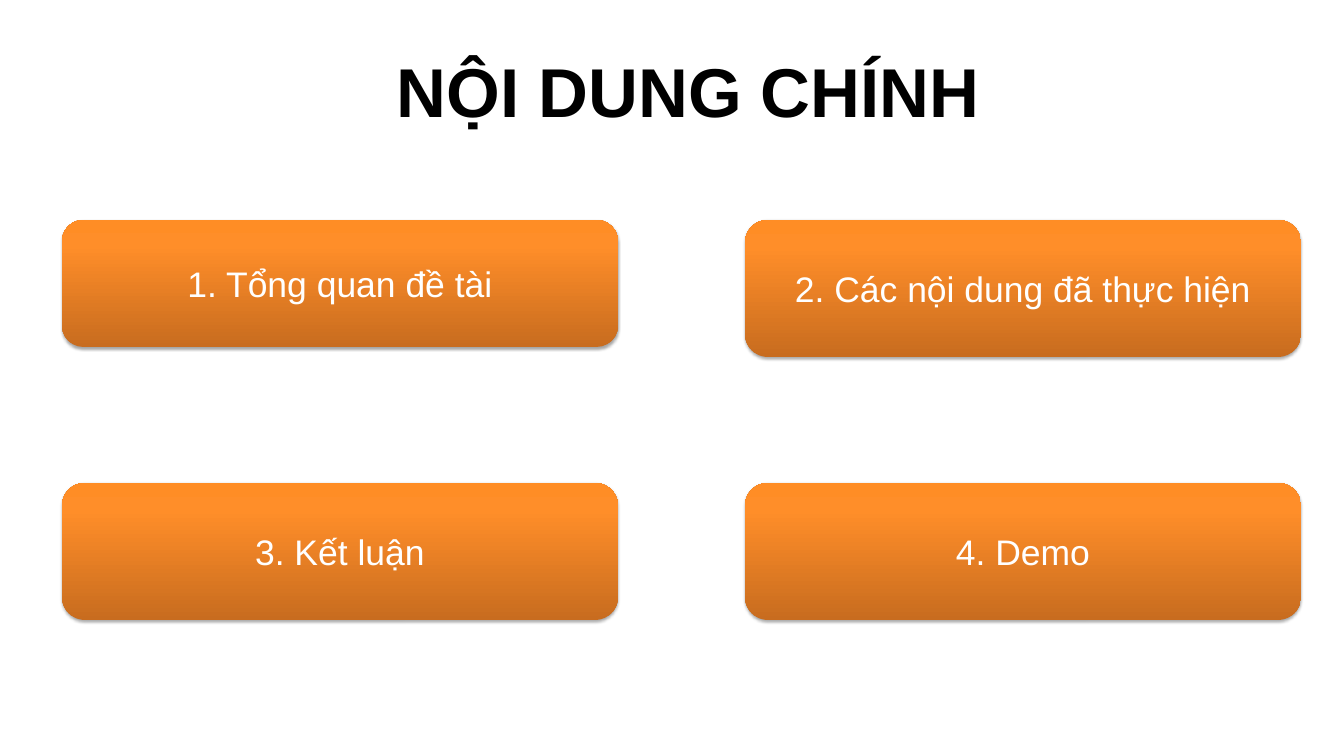
import pptx
import pptx.dml.color
import pptx.enum.shapes
import pptx.enum.text
import pptx.oxml
import pptx.oxml.ns
import pptx.util
from lxml import etree

EMU_PER_PX = 914400 / 67.2
FONT = "Arial"
GRADIENT = [(0, "C86C1F"), (80, "FF8E29"), (100, "FF8D25")]
CARD_COLUMNS = [62, 745]
CARD_ROWS = [220, 483]
CARD_WIDTH = 556
CARDS = [
    ("1. Tổng quan đề tài", 127),
    ("2. Các nội dung đã thực hiện", 137),
    ("3. Kết luận", 137),
    ("4. Demo", 137),
]


def px(*lengths):
    return [pptx.util.Emu(round(length * EMU_PER_PX)) for length in lengths]


def rgb(value):
    return pptx.dml.color.RGBColor.from_string(value)


def write_centred(frame, text, size, colour, bold=False):
    frame.word_wrap = True
    para = frame.paragraphs[0]
    para.text = text
    para.alignment = pptx.enum.text.PP_ALIGN.CENTER
    para.font.name = FONT
    para.font.size = pptx.util.Pt(size)
    para.font.bold = bold
    para.font.color.rgb = rgb(colour)


def fill_upward(shape, stops):
    """Fill with a gradient that runs from bottom to top."""
    shape.fill.gradient()
    gradient = shape._element.spPr.find(pptx.oxml.ns.qn("a:gradFill"))
    for child in list(gradient):
        gradient.remove(child)
    stop_list = etree.SubElement(gradient, pptx.oxml.ns.qn("a:gsLst"))
    for position, colour in stops:
        stop = etree.SubElement(stop_list, pptx.oxml.ns.qn("a:gs"), pos=str(position * 1000))
        etree.SubElement(stop, pptx.oxml.ns.qn("a:srgbClr"), val=colour)
    etree.SubElement(gradient, pptx.oxml.ns.qn("a:lin"), ang="16200000", scaled="0")


def cast_shadow(shape):
    shape.shadow.inherit = False
    effects = shape._element.spPr.find(pptx.oxml.ns.qn("a:effectLst"))
    shadow = etree.SubElement(
        effects, pptx.oxml.ns.qn("a:outerShdw"),
        blurRad=str(pptx.util.Pt(3.1)), dist=str(pptx.util.Pt(1.8)),
        dir="5400000", rotWithShape="0")
    colour = etree.SubElement(shadow, pptx.oxml.ns.qn("a:srgbClr"), val="000000")
    etree.SubElement(colour, pptx.oxml.ns.qn("a:alpha"), val="34000")


def add_title(page, text):
    box = page.shapes.add_textbox(*px(229, 45, 919, 91))
    box.text_frame.auto_size = pptx.enum.text.MSO_AUTO_SIZE.SHAPE_TO_FIT_TEXT
    write_centred(box.text_frame, text, 74, "000000", bold=True)


def add_card(page, text, left, top, height):
    card = page.shapes.add_shape(
        pptx.enum.shapes.MSO_SHAPE.ROUNDED_RECTANGLE, *px(left, top, CARD_WIDTH, height))
    fill_upward(card, GRADIENT)
    card.line.fill.background()
    cast_shadow(card)
    card.text_frame.vertical_anchor = pptx.enum.text.MSO_ANCHOR.MIDDLE
    write_centred(card.text_frame, text, 38, "FFFFFF")


def main():
    deck = pptx.Presentation()
    deck.slide_width, deck.slide_height = px(1344, 756)
    page = deck.slides.add_slide(deck.slide_layouts[6])
    add_title(page, "NỘI DUNG CHÍNH")
    for index, (text, height) in enumerate(CARDS):
        row, column = divmod(index, len(CARD_COLUMNS))
        add_card(page, text, CARD_COLUMNS[column], CARD_ROWS[row], height)
    deck.save("out.pptx")


if __name__ == "__main__":
    main()
